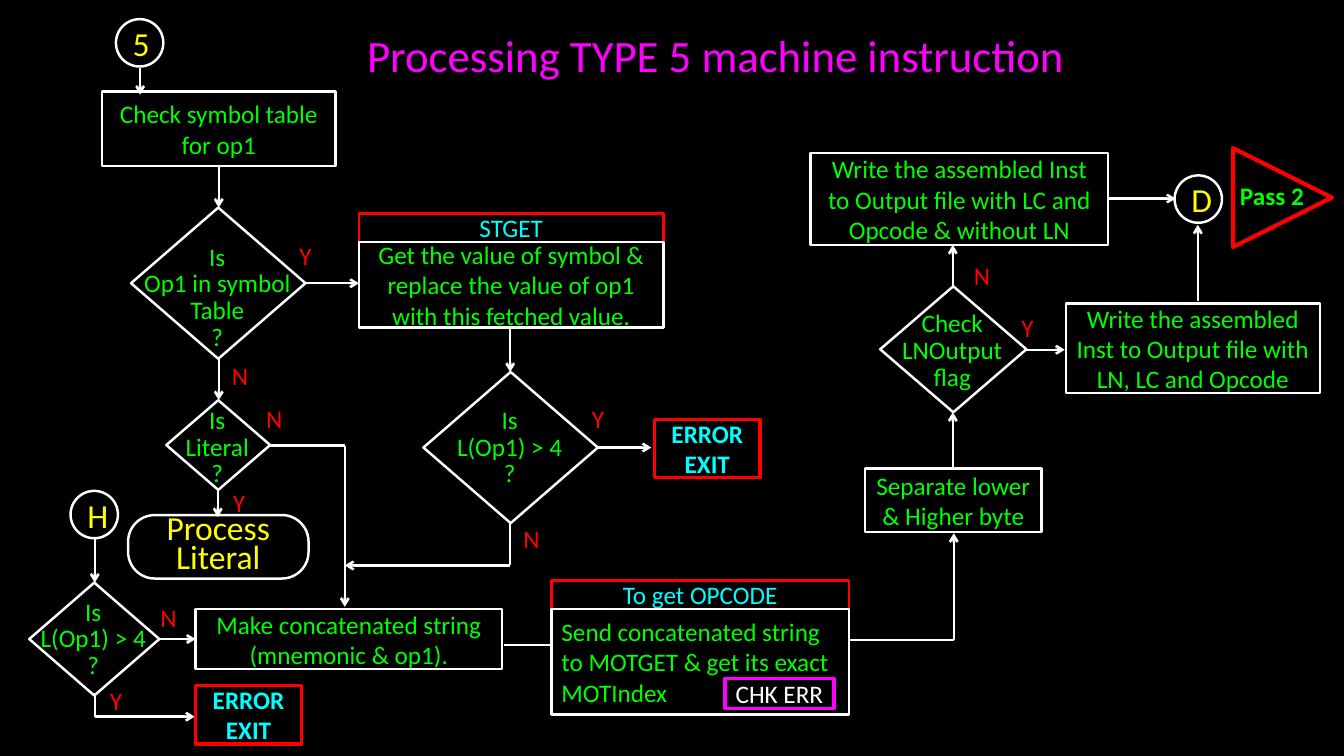
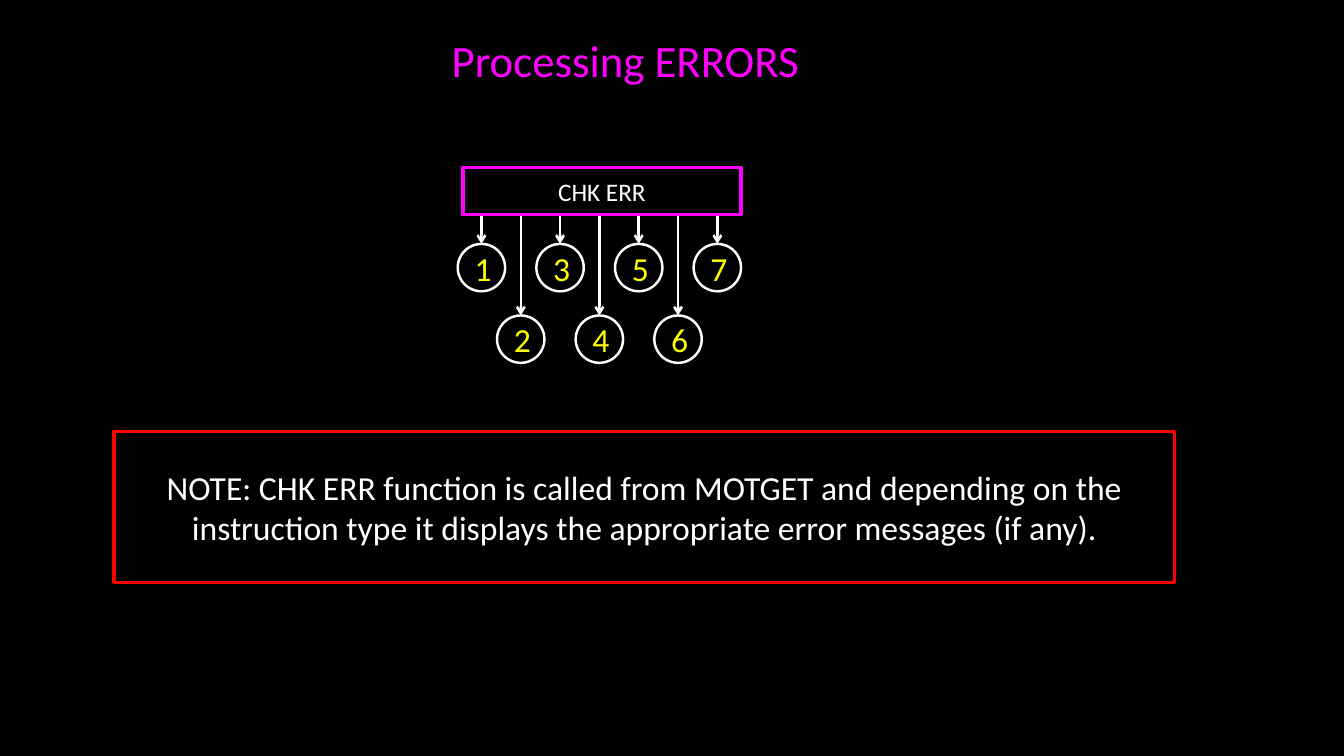
from dataclasses import dataclass
from itertools import pairwise

from lxml.etree import SubElement
from pptx import Presentation
from pptx.dml.color import RGBColor as Rgb
from pptx.enum.shapes import MSO_CONNECTOR as Wire
from pptx.enum.shapes import MSO_SHAPE as Form
from pptx.enum.text import MSO_ANCHOR as Anchor
from pptx.enum.text import MSO_AUTO_SIZE as Fit
from pptx.enum.text import PP_ALIGN as Align
from pptx.oxml.ns import qn
from pptx.slide import Slide
from pptx.util import Inches, Pt

HUES = {
    "black": "000000",
    "white": "FFFFFF",
    "red": "FF0000",
    "green": "00FF00",
    "cyan": "00FFFF",
    "yellow": "FFFF00",
    "pink": "FF00FF",
}
FONT = "Calibri"
DISC = 0.47


def hue(name):
    """Return the named colour."""
    return Rgb.from_string(HUES[name])


def write(frame, text, size=18, color="green", bold=False, align=Align.CENTER,
          anchor=Anchor.MIDDLE, lead=None, inset=None, wrap=True):
    """Fill a text frame, one paragraph for each line of text."""
    frame.auto_size = Fit.NONE
    frame.word_wrap = wrap
    frame.vertical_anchor = anchor
    if inset is not None:
        frame.margin_left = frame.margin_right = Inches(inset)
        frame.margin_top = frame.margin_bottom = Inches(inset)
    frame.text = text
    for para in frame.paragraphs:
        para.alignment = align
        if lead:
            para.line_spacing = Pt(lead)
        for run in para.runs:
            font = run.font
            font.name, font.size, font.bold = FONT, Pt(size), bold
            font.color.rgb = hue(color)


@dataclass
class Area:
    """A region of a slide, whose parts are placed from its top left corner."""

    page: Slide
    left: float
    top: float

    def spot(self, x, y):
        """Turn a point of the region into a point of the slide."""
        return Inches(self.left + x), Inches(self.top + y)

    def block(self, box, text="", form=Form.RECTANGLE, edge="white", width=1.75,
              **style):
        """Draw an outlined shape with text."""
        x, y, w, h = box
        shape = self.page.shapes.add_shape(
            form, *self.spot(x, y), Inches(w), Inches(h))
        shape.shadow.inherit = False
        shape.fill.background()
        shape.line.color.rgb = hue(edge)
        shape.line.width = Pt(width)
        if text:
            write(shape.text_frame, text, **style)
        return shape

    def note(self, box, text, **style):
        """Place free text."""
        x, y, w, h = box
        label = self.page.shapes.add_textbox(
            *self.spot(x, y), Inches(w), Inches(h))
        write(label.text_frame, text, anchor=Anchor.TOP, **style)

    def mark(self, x, y, text):
        """Place a branch letter."""
        self.note((x, y, 0.4, 0.3), text, color="red", align=Align.LEFT, inset=0)

    def disc(self, x, y, text):
        """Draw a circular flow connector."""
        self.block((x, y, DISC, DISC), text, Form.FLOWCHART_CONNECTOR,
                   size=24, color="yellow")

    def ask(self, box, gap, text):
        """Draw a decision whose text begins a gap below its tip."""
        x, y, w, h = box
        self.block(box, form=Form.DIAMOND)
        self.note((x - 0.15, y + gap, w + 0.28, h - gap), text, lead=19)

    def halt(self, x, y):
        """Draw an error exit."""
        self.block((x, y, 1.05, 0.58), "ERROR\nEXIT", edge="red", width=2.5,
                   color="cyan", bold=True)

    def call(self, w, h, name, text, **style):
        """Draw a named routine with its step below."""
        head = 0.28
        self.block((0, 0, w, head), name, edge="red", color="cyan")
        self.block((0, head, w, h), text, **style)

    def link(self, *points, arrow=True):
        """Join points by straight lines, with an arrowhead at the end."""
        for start, end in pairwise(points):
            line = self.page.shapes.add_connector(
                Wire.STRAIGHT, *self.spot(*start), *self.spot(*end))
            line.line.color.rgb = hue("white")
            line.line.width = Pt(1.75)
            props = line.element.spPr
            if arrow and end == points[-1]:
                SubElement(props.find(qn("a:ln")), qn("a:tailEnd"), type="arrow")
            SubElement(props, qn("a:effectLst"))


def begin(deck, text, x, y, w):
    """Add a slide with its title."""
    page = deck.slides.add_slide(deck.slide_layouts[5])
    title = page.shapes.title
    title.left, title.top = Inches(x), Inches(y)
    title.width, title.height = Inches(w), Inches(0.64)
    write(title.text_frame, text, size=32, color="pink", align=Align.LEFT,
          anchor=Anchor.TOP)
    return page


def lookup(area):
    """Draw the symbol table check."""
    area.disc(0.14, 0, "5")
    area.block((0, 0.72, 2.32, 0.74), "Check symbol table for op1")
    area.link((0.38, 0.48), (0.38, 0.75))
    area.link((1.16, 1.47), (1.16, 1.87))
    area.ask((0.29, 1.87, 1.73, 1.5), 0.32, "Is\nOp1 in symbol\nTable\n?")
    area.mark(1.96, 2.19, "Y")
    area.link((2.02, 2.62), (2.55, 2.62))
    area.mark(1.29, 3.38, "N")
    area.link((1.16, 3.37), (1.16, 3.78))


def fetch(area):
    """Draw the fetch of a symbol value."""
    area.call(3.02, 0.85, "STGET", "Get the value of symbol & replace the value "
              "of op1 with this fetched value.")
    area.link((1.5, 1.13), (1.5, 1.57))


def literal(area):
    """Draw the literal branch."""
    area.ask((0.38, 0, 1.03, 0.89), 0.03, "Is\nLiteral\n?")
    area.mark(1.37, 0.03, "N")
    area.link((1.41, 0.45), (2.15, 0.45), (2.15, 2.05))
    area.mark(1.04, 0.86, "Y")
    area.link((0.89, 0.88), (0.89, 1.16))
    pill = area.block((0, 1.14, 1.79, 0.63), "Process Literal",
                      Form.ROUNDED_RECTANGLE, size=24, color="yellow", lead=21)
    pill.adjustments[0] = 0.42


def length(area):
    """Draw the length check of a fetched value."""
    area.ask((0, 0, 1.73, 1.5), 0.31, "Is\nL(Op1) > 4\n?")
    area.mark(1.67, 0.31, "Y")
    area.link((1.73, 0.75), (2.26, 0.75))
    area.halt(2.29, 0.47)
    area.mark(0.99, 1.5, "N")
    area.link((0.86, 1.5), (0.86, 1.92), (-0.78, 1.92))


def concat(area):
    """Draw the length check of a literal and the joined string."""
    area.disc(0.41, 0, "H")
    area.link((0.65, 0.47), (0.65, 0.91))
    area.ask((0, 0.91, 1.29, 1.12), 0.12, "Is\nL(Op1) > 4\n?")
    area.mark(1.3, 1.11, "N")
    area.link((1.3, 1.47), (1.65, 1.47))
    area.block((1.65, 1.17, 3.04, 0.6),
               "Make concatenated string (mnemonic & op1).")
    area.mark(0.8, 1.93, "Y")
    area.link((0.65, 2.01), (0.65, 2.24), (1.64, 2.24))
    area.halt(1.65, 1.93)
    area.link((4.71, 1.53), (5.18, 1.53), arrow=False)


def opcode(area):
    """Draw the search for the operation code."""
    area.call(2.95, 1.05, "To get OPCODE", "Send concatenated string to MOTGET "
              "& get its exact MOTIndex", align=Align.LEFT)
    area.block((1.72, 0.97, 1.08, 0.3), "CHK ERR", edge="pink", width=2.5,
               color="white", wrap=False)
    area.link((2.95, 0.59), (3.99, 0.59), (3.99, -0.47))


def output(area):
    """Draw the output of the instruction."""
    area.block((0.54, 3.18, 1.75, 0.63), "Separate lower & Higher byte")
    area.link((1.41, 3.18), (1.41, 2.62))
    area.ask((0.69, 1.37, 1.45, 1.25), 0.2, "Check\nLNOutput\nflag")
    area.mark(1.62, 1.11, "N")
    area.link((1.41, 1.37), (1.41, 0.96))
    area.block((0, 0.05, 2.95, 0.91), "Write the assembled Inst to Output file "
               "with LC and Opcode & without LN")
    area.mark(2.09, 1.63, "Y")
    area.link((2.12, 2), (2.52, 2))
    area.block((2.53, 1.54, 2.52, 0.89),
               "Write the assembled Inst to Output file with LN, LC and Opcode")
    area.link((3.84, 1.52), (3.84, 0.76))
    area.link((2.95, 0.5), (3.62, 0.5))
    area.disc(3.61, 0.27, "D")
    flag = area.block((4.19, 0, 0.98, 0.98), form=Form.FLOWCHART_EXTRACT,
                      edge="red", width=3)
    flag.rotation = 90
    area.note((4.16, 0.27, 0.93, 0.4), "Pass 2", bold=True, align=Align.LEFT)


def errors(area):
    """Draw the error check with its seven exits."""
    base, step = 0.47, 0.39
    for i in range(7):
        x, y = i * step, 1.47 if i % 2 else 0.76
        area.link((x + DISC / 2, base), (x + DISC / 2, y))
        area.disc(x, y, str(i + 1))
    area.block((0.05, 0, 2.76, base), "CHK ERR", edge="pink", width=2.5,
               color="white")


def remark(area):
    """Draw the framed note."""
    area.block((0, 0, 10.52, 1.5), "NOTE: CHK ERR function is called from MOTGET "
               "and depending on the instruction type it displays the "
               "appropriate error messages (if any).", edge="red", width=2.5,
               size=24, color="white")


def main():
    """Build the deck."""
    deck = Presentation()
    deck.slide_width, deck.slide_height = Inches(13.33), Inches(7.5)
    fill = deck.slide_master.background.fill
    fill.solid()
    fill.fore_color.rgb = hue("black")

    flow = begin(deck, "Processing TYPE 5 machine instruction", 3.54, 0.22, 7.27)
    lookup(Area(flow, 1.01, 0.19))
    fetch(Area(flow, 3.56, 2.12))
    literal(Area(flow, 1.27, 3.97))
    length(Area(flow, 4.2, 3.69))
    concat(Area(flow, 0.29, 4.87))
    opcode(Area(flow, 5.47, 5.76))
    output(Area(flow, 8.04, 1.47))

    checks = begin(deck, "Processing ERRORS", 4.38, 0.27, 3.78)
    errors(Area(checks, 4.54, 1.66))
    remark(Area(checks, 1.13, 4.28))
    deck.save("out.pptx")


if __name__ == "__main__":
    main()
